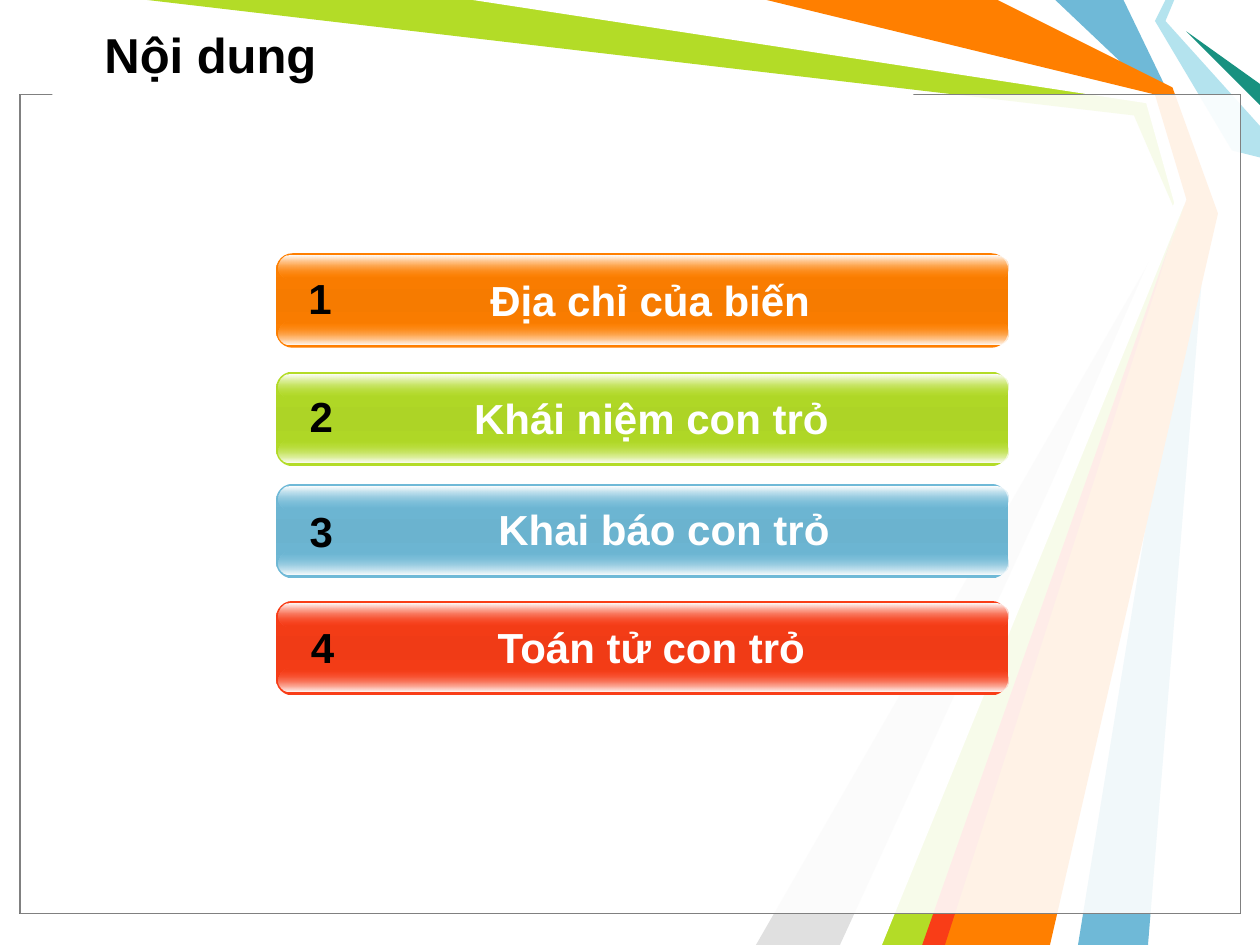
from dataclasses import dataclass

from lxml import etree
from pptx import Presentation
from pptx.dml.color import RGBColor
from pptx.enum.shapes import MSO_SHAPE
from pptx.enum.text import MSO_ANCHOR, MSO_AUTO_SIZE, PP_ALIGN
from pptx.oxml.ns import qn
from pptx.util import Pt

RECT, ROUND = MSO_SHAPE.RECTANGLE, MSO_SHAPE.ROUNDED_RECTANGLE
LEFT, CENTER = PP_ALIGN.LEFT, PP_ALIGN.CENTER
TOP, MIDDLE = MSO_ANCHOR.TOP, MSO_ANCHOR.MIDDLE
FIXED, GROW = MSO_AUTO_SIZE.NONE, MSO_AUTO_SIZE.SHAPE_TO_FIT_TEXT


@dataclass(frozen=True)
class Theme:
    font: str = "Arial"
    title: int = 28
    body: int = 24
    black: str = "000000"
    white: str = "FFFFFF"
    gray: str = "808080"
    silver: str = "E0E0E0"
    orange: str = "FF7F00"
    green: str = "B3DC27"
    blue: str = "6FB9D7"
    red: str = "F93D17"
    sky: str = "B4E3EE"
    teal: str = "189180"
    veil: int = 69


THEME = Theme()

RAYS = [
    (THEME.blue, [(642, 0), (669, 55.5), (690, 120), (656, 539.5),
                  (616.5, 539.5), (684, 120), (660, 54), (603, 0)]),
    (THEME.green, [(84, 0), (276, 0), (658, 56), (678, 122),
                   (534, 540), (498, 540), (673, 124.5), (648.5, 65.5)]),
    (THEME.silver, [(480, 540), (667.5, 130), (432, 540)]),
    (THEME.white, [(270, 0), (655, 59), (671, 116.5), (486, 540),
                   (504, 540), (677.5, 114), (660, 54), (432, 0)]),
    (THEME.sky, [(666, 0), (660, 12), (704, 86.5), (720, 90),
                 (720, 72), (666, 12), (671, 0)]),
    (THEME.teal, [(720, 60), (678, 18), (720, 48)]),
    (THEME.orange, [(438, 0), (570, 0), (669.5, 50.5), (695.5, 121.5),
                    (600, 540), (528, 540), (678, 114), (660, 54)]),
    (THEME.red, [(527, 540), (671, 132), (539.5, 540)]),
]

# Bar top, colour, middle shade, topic, then the corners of number and topic
TOPICS = [
    (144.7, THEME.orange, "F67B00", "Địa chỉ của biến", (167.8, 151.9), (194.4, 153.4)),
    (212.4, THEME.green, "ADD426", "Khái niệm con trỏ", (168.5, 219.6), (195.1, 221)),
    (276.5, THEME.blue, "6BB3CF", "Khai báo con trỏ", (168.5, 285.1), (202.3, 284.4)),
    (343.4, THEME.red, "F03B16", "Toán tử con trỏ", (169.2, 351.4), (195.1, 351.4)),
]


def paint(shape, color, line=None):
    shape.shadow.inherit = False
    shape.fill.solid()
    shape.fill.fore_color.rgb = RGBColor.from_string(color)
    if line:
        shape.line.color.rgb = RGBColor.from_string(line)
        shape.line.width = Pt(0.75)
    else:
        shape.line.fill.background()


def add_alpha(node, share):
    etree.SubElement(node, qn("a:alpha"), val=str(share * 1000))


def add_ray(slide, color, points):
    pen = slide.shapes.build_freeform(*points[0], scale=Pt(1))
    pen.add_line_segments(points[1:], close=True)
    paint(pen.convert_to_shape(), color)


def add_box(slide, kind, box, color, line=None):
    shape = slide.shapes.add_shape(kind, *map(Pt, box))
    paint(shape, color, line)
    return shape


def add_frame(slide):
    """Two sheer panels, with a gap in the top edge under the title."""
    for line in (THEME.black, THEME.gray):
        panel = add_box(slide, RECT, (11.5, 54, 697.5, 468), THEME.white, line)
        add_alpha(panel.fill._xPr.find(qn("a:solidFill"))[0], THEME.veil)
    add_box(slide, RECT, (30, 53.5, 492, 12), THEME.white)


def add_blend(slide, box, curve, stops):
    """Rounded bar shaded downwards; stops are (place, colour, opacity)."""
    shape = add_box(slide, ROUND, box, THEME.white)
    shape.adjustments[0] = curve
    shape.fill.gradient()
    shape.fill.gradient_angle = 270
    steps = shape._element.spPr.find(qn("a:gradFill")).find(qn("a:gsLst"))
    for old in list(steps):
        steps.remove(old)
    for place, color, share in stops:
        step = etree.SubElement(steps, qn("a:gs"), pos=str(place * 1000))
        tint = etree.SubElement(step, qn("a:srgbClr"), val=color)
        if share < 100:
            add_alpha(tint, share)


def add_bar(slide, top, color, shade):
    add_blend(slide, (157.7, top, 418.3, 54), 0.175,
              [(0, color, 100), (50, shade, 100), (100, color, 100)])
    add_blend(slide, (159.1, top + 38.9, 416.9, 13), 0.5,
              [(0, color, 0), (100, THEME.white, 100)])
    add_blend(slide, (159.1, top + 1.5, 416.9, 13), 0.5,
              [(0, THEME.white, 100), (100, color, 0)])


def add_text(slide, text, box, size, color, align=CENTER, anchor=TOP, fit=GROW):
    frame = slide.shapes.add_textbox(*map(Pt, box)).text_frame
    para = frame.paragraphs[0]
    run = para.add_run()
    run.text = text
    run.font.color.rgb = RGBColor.from_string(color)
    formats = [
        (frame, {"word_wrap": True, "auto_size": fit, "vertical_anchor": anchor}),
        (para, {"alignment": align}),
        (run.font, {"name": THEME.font, "size": Pt(size), "bold": True}),
    ]
    for part, values in formats:
        for name, value in values.items():
            setattr(part, name, value)


def main():
    deck = Presentation()
    deck.slide_width, deck.slide_height = Pt(720), Pt(540)
    slide = deck.slides.add_slide(deck.slide_layouts[6])
    for color, points in RAYS:
        add_ray(slide, color, points)
    add_frame(slide)
    add_text(slide, "Nội dung", (52.6, 5.8, 656, 49.7), THEME.title,
             THEME.black, LEFT, MIDDLE, FIXED)
    for number, (top, color, shade, topic, mark, label) in enumerate(TOPICS, 1):
        add_bar(slide, top, color, shade)
        add_text(slide, topic, (*label, 354.2, 36), THEME.body, THEME.white)
        add_text(slide, str(number), (*mark, 30.2, 36), THEME.body, THEME.black)
    deck.save("out.pptx")


if __name__ == "__main__":
    main()
